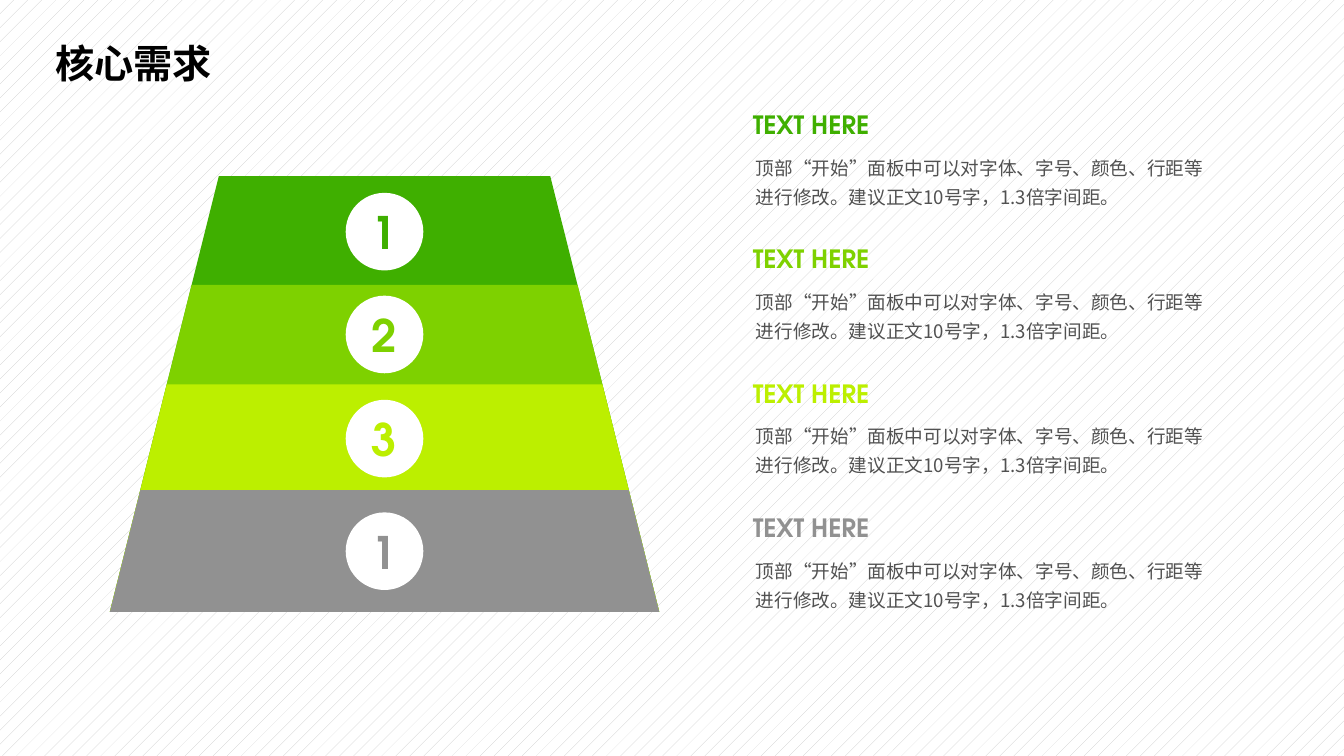
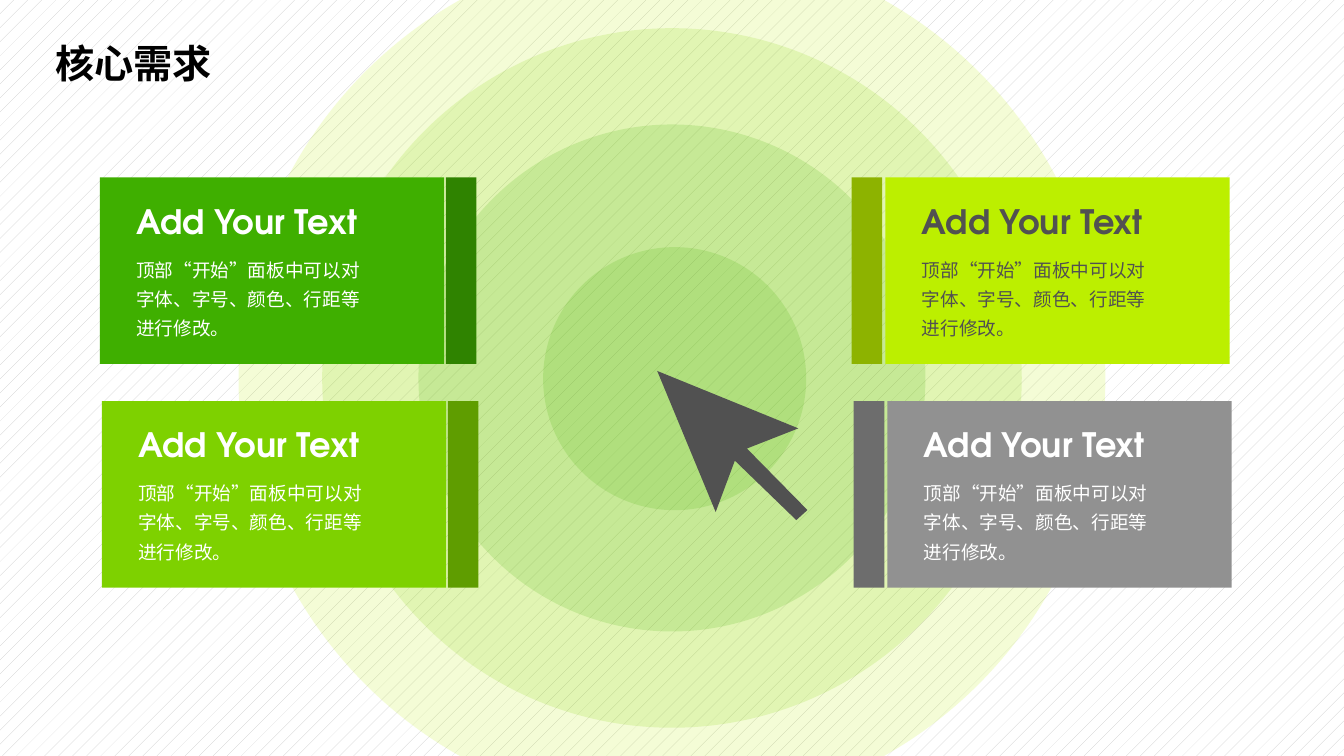
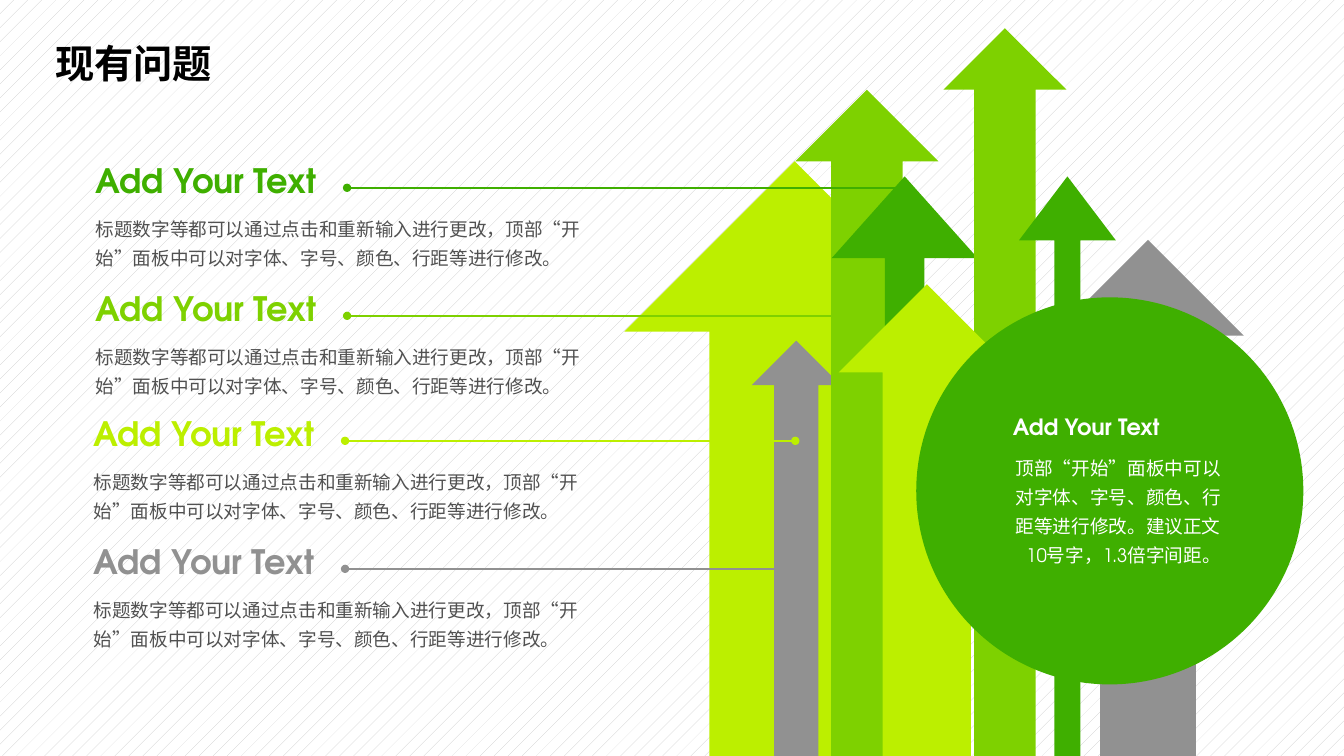
from itertools import groupby
from typing import NamedTuple

from lxml import etree
from pptx import Presentation
from pptx import util as u
from pptx.dml.color import RGBColor
from pptx.enum import dml, shapes, text
from pptx.oxml.ns import qn

COLS, ROWS = 40, 22.5
CELL = u.Inches(1) / 3  # square grid cell

INK = {
    "green": "3FAF00",
    "leaf": "7ED100",
    "lime": "BCEF00",
    "gray": "919191",
    "dark": "515151",
    "white": "FFFFFF",
    "black": "000000",
    "hatch": "CACACA",
    "green edge": "2F8300",
    "leaf edge": "5F9D00",
    "lime edge": "8DB300",
    "gray edge": "6D6D6D",
}
HAN, LATIN, QUOTE = "Noto Sans CJK SC", "TeX Gyre Adventor", "Roboto"
KIND = shapes.MSO_SHAPE
ALIGN = text.PP_ALIGN

ADD = "Add Your Text"
SHORT = "顶部“开始”面板中可以对字体、字号、颜色、行距等进行修改。"
LONG = SHORT + "建议正文10号字，1.3倍字间距。"
RETYPE = "标题数字等都可以通过点击和重新输入进行更改，" + SHORT


class Box(NamedTuple):
    """Left, top, width and height in grid cells."""
    x: float
    y: float
    w: float
    h: float


class Band(NamedTuple):
    ink: str
    top: float
    disc: float
    mark: str


class Ring(NamedTuple):
    ink: str
    x: float
    y: float
    size: float


class Card(NamedTuple):
    ink: str
    x: float
    y: float
    edge: float
    font: str


class Arrow(NamedTuple):
    ink: str
    x: float
    y: float
    w: float
    shaft: float = 0.5
    head: float = 0.5


class Item(NamedTuple):
    ink: str
    x: float
    y: float
    end: float


BANDS = [
    Band("green", 5.24, 5.74, "1"),
    Band("leaf", 8.48, 8.8, "2"),
    Band("lime", 11.44, 11.9, "3"),
    Band("gray", 14.59, 15.25, "1"),
]
RINGS = [
    Ring("lime", 20, 11.25, 25.8),
    Ring("leaf", 20, 11.25, 20.82),
    Ring("green", 20, 11.25, 15.09),
    Ring("green", 20.08, 11.27, 7.83),
]
CURSOR = [
    (24.03, 15.18), (22.23, 13.35), (23.76, 12.75), (19.56, 11.04),
    (21.3, 15.24), (21.87, 13.71), (23.7, 15.48),
]
CARDS = [
    Card("green", 2.97, 5.28, 10.3, "white"),
    Card("leaf", 3.03, 11.94, 10.3, "white"),
    Card("lime", 26.35, 5.28, -1, "dark"),
    Card("gray", 26.41, 11.94, -1, "white"),
]
ARROWS = [
    Arrow("lime", 18.58, 4.8, 10.14),
    Arrow("gray", 22.38, 10.14, 2.64),
    Arrow("leaf", 23.67, 2.67, 4.26),
    Arrow("green", 24.75, 5.25, 4.35, 0.27, 0.56),
    Arrow("leaf", 28.08, 0.84, 3.66),
    Arrow("gray", 31.32, 7.14, 5.7),
    Arrow("green", 30.33, 5.25, 2.88, 0.27, 0.66),
    Arrow("lime", 24.96, 8.46, 5.25),
]
ITEMS = [
    Item("green", 2.55, 4.62, 26.94),
    Item("leaf", 2.55, 8.43, 25.59),
    Item("lime", 2.49, 12.15, 23.67),
    Item("gray", 2.49, 15.96, 23.64),
]


def emu(cells: float) -> int:
    return round(cells * CELL)


def tint(ink: str) -> RGBColor:
    return RGBColor.from_string(INK[ink])


def write(frame, words: str, *, size: float, ink: str, bold: bool = False,
          font: str = LATIN, quote: str = "", align=ALIGN.LEFT,
          space: float = 1.0) -> None:
    """Fill a frame with one paragraph; quote is the font of curly quotes."""
    para = frame.paragraphs[0]
    para.alignment = align
    para.line_spacing = space
    for curly, chars in groupby(words, lambda c: bool(quote) and c in "“”"):
        run = para.add_run()
        run.text = "".join(chars)
        run.font.name = quote if curly else font
        run.font.size = u.Pt(size)
        run.font.bold = bold
        run.font.color.rgb = tint(ink)
        east = etree.Element(qn("a:ea"), typeface=HAN)
        run.font._element.find(qn("a:latin")).addnext(east)


def label(slide, box: Box, words: str, *, wrap: bool = True, **style) -> None:
    frame = slide.shapes.add_textbox(*map(emu, box)).text_frame
    frame.word_wrap = wrap
    frame.auto_size = text.MSO_AUTO_SIZE.SHAPE_TO_FIT_TEXT
    write(frame, words, **style)


def paint(shape, ink: str, alpha: int = 100) -> None:
    shape.shadow.inherit = False
    shape.line.fill.background()
    shape.fill.solid()
    shape.fill.fore_color.rgb = tint(ink)
    if alpha < 100:
        color = shape.fill._xPr.find(".//" + qn("a:srgbClr"))
        etree.SubElement(color, qn("a:alpha"), val=str(alpha * 1000))


def draw(slide, kind, box: Box, ink: str, alpha: int = 100):
    shape = slide.shapes.add_shape(kind, *map(emu, box))
    paint(shape, ink, alpha)
    return shape


def link(slide, start: float, end: float, y: float, ink: str) -> None:
    """Draw a level line with a dot at both ends."""
    line = slide.shapes.add_connector(
        shapes.MSO_CONNECTOR.STRAIGHT, *map(emu, (start, y, end, y)))
    line.line.color.rgb = tint(ink)
    line.line.width = u.Pt(1.5)
    for tip in ("a:headEnd", "a:tailEnd"):
        etree.SubElement(line.line._ln, qn(tip), type="oval")
    etree.SubElement(line._element.spPr, qn("a:effectLst"))


def page(deck, words: str):
    """Add a title-only slide and return it."""
    slide = deck.slides.add_slide(deck.slide_layouts[5])
    title = slide.shapes.title
    title.left, title.top, title.width, title.height = map(
        emu, Box(1.35, 0.84, 10.08, 2.25))
    frame = title.text_frame
    frame.word_wrap = True
    frame.auto_size = text.MSO_AUTO_SIZE.NONE
    frame.vertical_anchor = text.MSO_ANCHOR.MIDDLE
    write(frame, words, size=28, ink="black", bold=True, font=HAN, space=0.9)
    return slide


def tower(deck) -> None:
    slide = page(deck, "核心需求")
    base = 18.21
    for band in BANDS:
        draw(slide, KIND.TRAPEZOID,
             Box(3.27, band.top, 16.35, base - band.top), band.ink)
    for row, band in enumerate(BANDS):
        disc = draw(slide, KIND.OVAL, Box(10.29, band.disc, 2.31, 2.31), "white")
        disc.text_frame.vertical_anchor = text.MSO_ANCHOR.MIDDLE
        write(disc.text_frame, band.mark, size=32, ink=band.ink, bold=True,
              align=ALIGN.CENTER)
        top = 3.1 + 4 * row
        label(slide, Box(22.2, top + 1.21, 14.16, 2.04), LONG, size=13.3,
              ink="dark", font=HAN, quote=QUOTE, space=1.3)
        label(slide, Box(22.11, top, 4.11, 1.2), "TEXT HERE", wrap=False,
              size=18, ink=band.ink, bold=True)


def target(deck) -> None:
    slide = page(deck, "核心需求")
    for ring in RINGS:
        half = ring.size / 2
        draw(slide, KIND.OVAL,
             Box(ring.x - half, ring.y - half, ring.size, ring.size),
             ring.ink, alpha=16)
    first, *rest = [(emu(x), emu(y)) for x, y in CURSOR]
    pen = slide.shapes.build_freeform(*first)
    pen.add_line_segments(rest, close=True)
    paint(pen.convert_to_shape(), "dark")
    for card in CARDS:
        x, y = card.x, card.y
        draw(slide, KIND.RECTANGLE, Box(x, y, 10.25, 5.55), card.ink)
        draw(slide, KIND.RECTANGLE, Box(x + card.edge, y, 0.91, 5.55),
             card.ink + " edge")
        label(slide, Box(x + 0.79, y + 2.07, 7.62, 2.94), SHORT, size=13.3,
              ink=card.font, space=1.3)
        label(slide, Box(x + 0.79, y + 0.54, 7.41, 1.5), ADD, wrap=False,
              size=24, ink=card.font, bold=True)


def growth(deck) -> None:
    slide = page(deck, "现有问题")
    for arrow in ARROWS:
        shape = draw(slide, KIND.UP_ARROW,
                     Box(arrow.x, arrow.y, arrow.w, ROWS - arrow.y), arrow.ink)
        shape.adjustments[0] = arrow.shaft
        shape.adjustments[1] = arrow.head
    draw(slide, KIND.OVAL, Box(27.27, 8.85, 11.52, 11.52), "green")
    label(slide, Box(29.43, 13.26, 7.2, 3.81), LONG, size=13.3, ink="white",
          align=ALIGN.RIGHT, space=1.3)
    label(slide, Box(29.85, 12.15, 5.13, 1.11), ADD, wrap=False, size=16,
          ink="white", bold=True)
    for item in ITEMS:
        x, y = item.x, item.y
        label(slide, Box(x, y + 1.51, 16.14, 2.04), RETYPE, size=13.3,
              ink="dark", space=1.3)
        label(slide, Box(x, y, 7.59, 1.5), ADD, size=24, ink=item.ink, bold=True)
        link(slide, item.end, x + 7.78, y + 0.97, item.ink)


def main() -> None:
    deck = Presentation()
    deck.slide_width, deck.slide_height = emu(COLS), emu(ROWS)
    back = deck.slide_master.background.fill
    back.patterned()
    back.pattern = dml.MSO_PATTERN.PERCENT_5
    back.fore_color.rgb = tint("hatch")
    back.back_color.rgb = tint("white")
    for build in (tower, target, growth):
        build(deck)
    deck.save("out.pptx")


if __name__ == "__main__":
    main()
